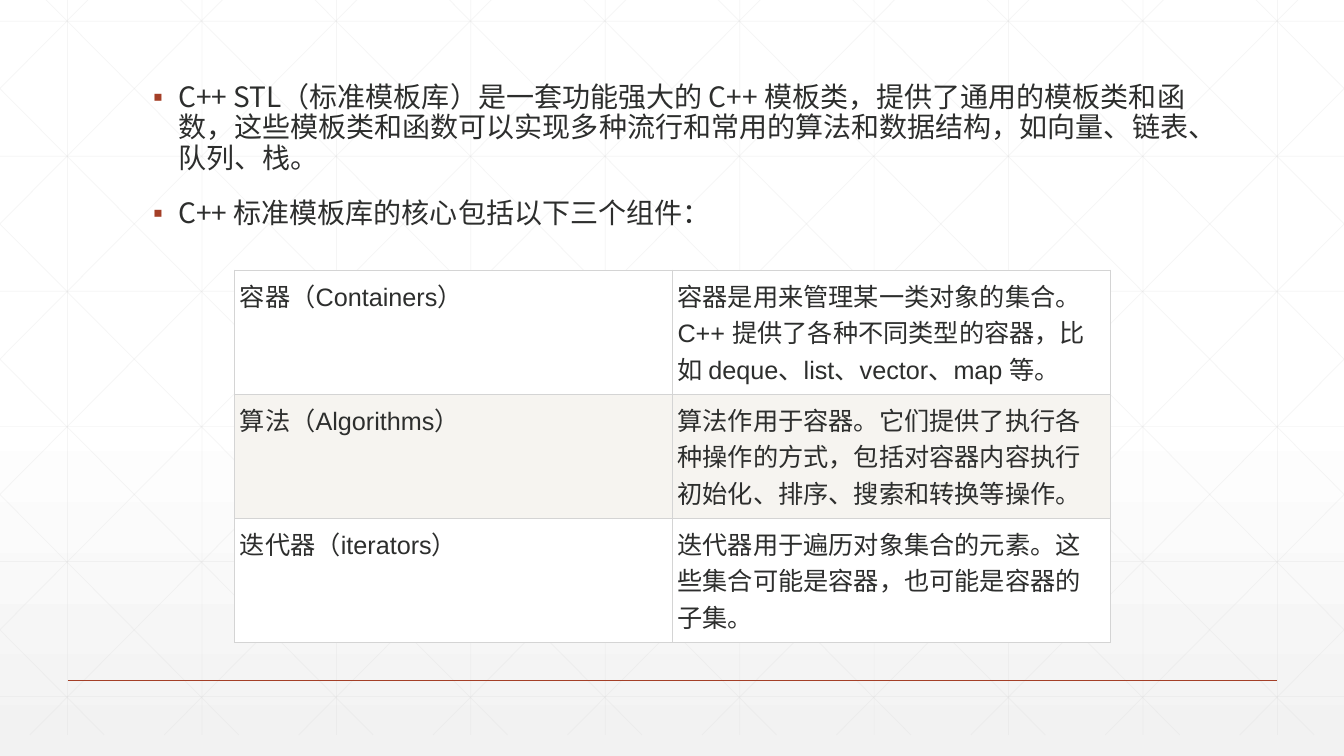
from lxml.etree import SubElement
from pptx import Presentation
from pptx.dml.color import RGBColor
from pptx.enum.shapes import MSO_CONNECTOR
from pptx.oxml.ns import qn
from pptx.util import Inches, Pt

HUES = {"text": "2D2E2D", "rust": "A43F27", "grid": "D9D9D9", "edge": "D4D4D4",
        "white": "FFFFFF", "band": "F6F4F0", "base": "F2F2F2"}
WIDE, TALL = 13.33, 7.5
TOP, FOOT = -0.21, 7.29
STEP = 4 / 3
SLANT = 7.45

POINTS = [
    "C++ STL（标准模板库）是一套功能强大的 C++ 模板类，提供了通用的模板类和函数，"
    "这些模板类和函数可以实现多种流行和常用的算法和数据结构，如向量、链表、队列、栈。",
    "C++ 标准模板库的核心包括以下三个组件：",
]
PARTS = [
    ("容器（Containers）",
     "容器是用来管理某一类对象的集合。C++ 提供了各种不同类型的容器，"
     "比如 deque、list、vector、map 等。"),
    ("算法（Algorithms）",
     "算法作用于容器。它们提供了执行各种操作的方式，"
     "包括对容器内容执行初始化、排序、搜索和转换等操作。"),
    ("迭代器（iterators）",
     "迭代器用于遍历对象集合的元素。这些集合可能是容器，也可能是容器的子集。"),
]


def tint(name):
    return RGBColor.from_string(HUES[name])


def set_font(para, face, size):
    para.font.name = face
    para.font.size = Pt(size)
    para.font.color.rgb = tint("text")


def add_line(slide, start, end, hue, width, alpha=None):
    ends = [Inches(n) for n in (*start, *end)]
    line = slide.shapes.add_connector(MSO_CONNECTOR.STRAIGHT, *ends)
    line.line.color.rgb = tint(hue)
    line.line.width = Pt(width)
    props = line._element.spPr
    SubElement(props, qn("a:effectLst"))
    if alpha:
        color = props.find(".//" + qn("a:srgbClr"))
        SubElement(color, qn("a:alpha"), val=str(alpha * 1000))


def paint_back(slide):
    fill = slide.background.fill
    fill.gradient()
    fill.gradient_angle = 270
    stops = [(0.53, "white"), (1, "base")]
    for stop, (place, hue) in zip(fill.gradient_stops, stops):
        stop.position = place
        stop.color.rgb = tint(hue)


def add_grid(slide):
    lines = []
    for i in range(10):
        x = 0.67 + i * STEP
        lines.append(((x, TOP), (x, FOOT)))
    for i in range(6):
        y = 0.21 + i * 1.34
        lines.append(((0, y), (WIDE, y)))
    for i in range(-5, 10):
        x = 0.25 + i * STEP
        span = max(0, -x / SLANT), min(1, (WIDE - x) / SLANT)
        ends = [(x + t * SLANT, TOP + t * (FOOT - TOP)) for t in span]
        lines.append(ends)
        lines.append([(WIDE - a, b) for a, b in ends])
    for start, end in lines:
        add_line(slide, start, end, "grid", 0.5, 25)


def add_bullet(para):
    props = para._p.get_or_add_pPr()
    props.set("marL", str(Inches(0.25)))
    props.set("indent", str(-Inches(0.25)))
    color = SubElement(props, qn("a:buClr"))
    SubElement(color, qn("a:srgbClr"), val=HUES["rust"])
    SubElement(props, qn("a:buFont"), typeface="Arial")
    SubElement(props, qn("a:buChar"), char="▪")


def add_points(slide):
    box = slide.shapes.add_textbox(Inches(1.42), Inches(0.78),
                                   Inches(10.5), Inches(4.17))
    frame = box.text_frame
    frame.word_wrap = True
    for i, text in enumerate(POINTS):
        para = frame.add_paragraph() if i else frame.paragraphs[0]
        para.text = text
        para.line_spacing = 0.9
        para.space_before = Pt(18)
        add_bullet(para)
        set_font(para, "Noto Sans CJK SC", 20)


def add_edges(cell):
    props = cell._tc.get_or_add_tcPr()
    for side in ("lnL", "lnR", "lnT", "lnB"):
        edge = SubElement(props, qn("a:" + side), w=str(Pt(0.75)))
        fill = SubElement(edge, qn("a:solidFill"))
        SubElement(fill, qn("a:srgbClr"), val=HUES["edge"])


def fill_cell(cell, text, hue):
    cell.text = text
    cell.margin_left = cell.margin_right = Inches(0.05)
    cell.margin_top = cell.margin_bottom = Inches(0.07)
    add_edges(cell)
    cell.fill.solid()
    cell.fill.fore_color.rgb = tint(hue)
    set_font(cell.text_frame.paragraphs[0], "Arial", 18)


def add_parts(slide):
    frame = slide.shapes.add_table(len(PARTS), 2, Inches(2.33), Inches(2.68),
                                   Inches(8.68), Inches(3.69))
    table = frame.table
    table.first_row = table.horz_banding = False
    for r, row in enumerate(PARTS):
        for c, text in enumerate(row):
            fill_cell(table.cell(r, c), text, "band" if r % 2 else "white")


def main():
    deck = Presentation()
    deck.slide_width, deck.slide_height = Inches(WIDE), Inches(TALL)
    slide = deck.slides.add_slide(deck.slide_layouts[6])
    paint_back(slide)
    add_grid(slide)
    add_line(slide, (0.67, 6.75), (12.67, 6.75), "rust", 1)
    add_points(slide)
    add_parts(slide)
    deck.save("out.pptx")


main()
